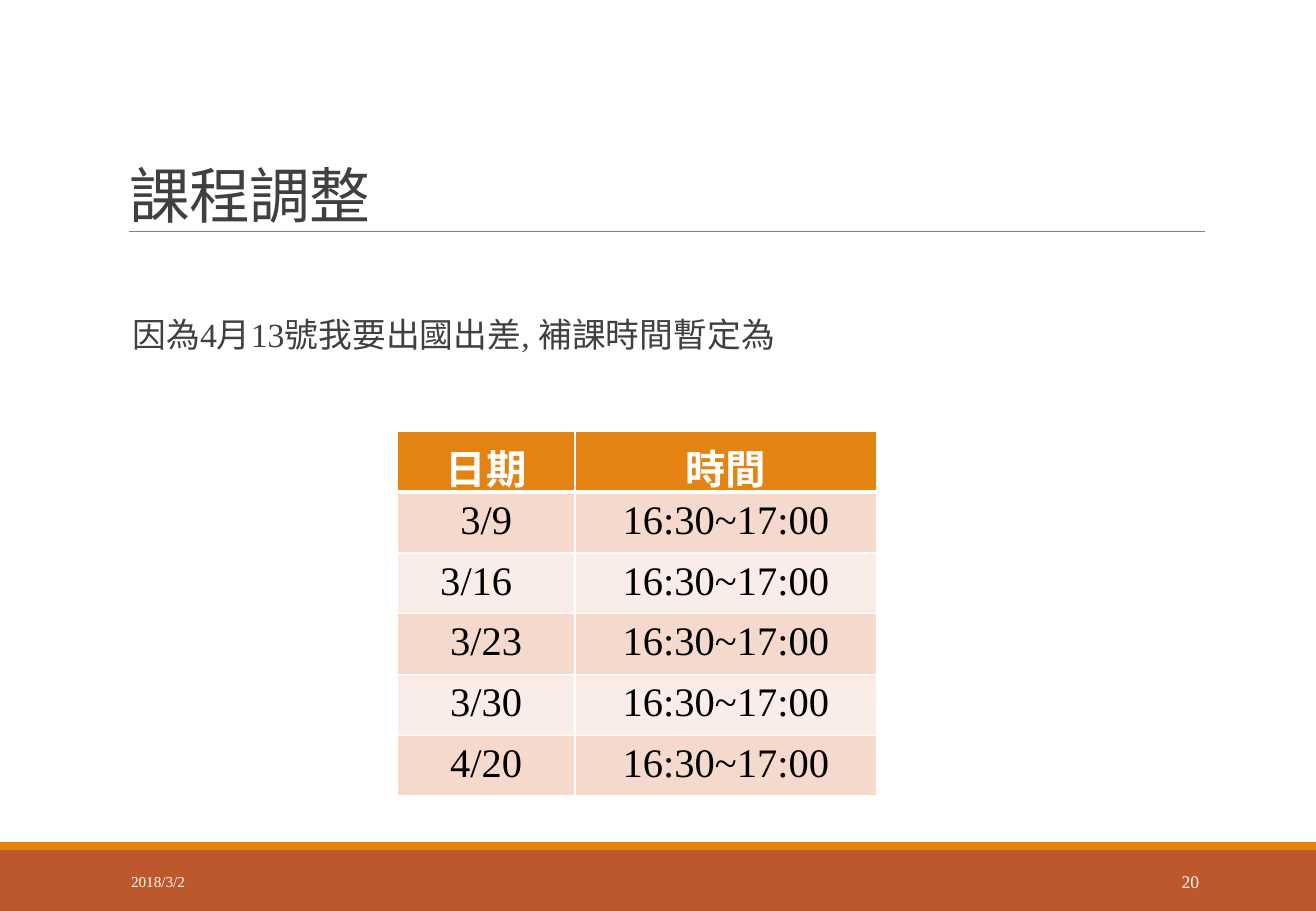
from lxml import etree
from pptx import Presentation
from pptx import util as u
from pptx.dml.color import RGBColor
from pptx.enum import shapes, text
from pptx.oxml import ns

COLORS = {
    "orange": "E48312", "rust": "BD582C", "rule": "808080", "ink": "404040",
    "white": "FFFFFF", "black": "000000", "odd": "F5D9CC", "even": "FAEDE7",
}
FONT = "Times New Roman"
DATES = ["3/9", "3/16", "3/23", "3/30", "4/20"]
MAKEUP_TIME = "16:30~17:00"
SLIDE_W, SLIDE_H = 27.51, 19.05


def rgb(name):
    return RGBColor.from_string(COLORS[name])


def cm_box(box):
    return [u.Cm(length) for length in box]


def add_run(paragraph, words, size, color, bold=False, spacing=None):
    run = paragraph.add_run()
    run.text = words
    run.font.name = FONT
    run.font.size = u.Pt(size)
    run.font.bold = bold
    run.font.color.rgb = rgb(color)
    properties = run.font._element
    properties.set("lang", "zh-TW")
    if spacing is not None:
        properties.set("spc", str(spacing))


def add_label(slide, box, words, size, color, anchor, align=text.PP_ALIGN.LEFT,
              line_spacing=1.0, spacing=None):
    frame = slide.shapes.add_textbox(*cm_box(box)).text_frame
    frame.word_wrap = True
    frame.vertical_anchor = anchor
    paragraph = frame.paragraphs[0]
    paragraph.alignment = align
    paragraph.line_spacing = line_spacing
    add_run(paragraph, words, size, color, spacing=spacing)
    return frame


def add_band(slide, box, color):
    band = slide.shapes.add_shape(shapes.MSO_SHAPE.RECTANGLE, *cm_box(box))
    band.shadow.inherit = False
    band.fill.solid()
    band.fill.fore_color.rgb = rgb(color)
    band.line.fill.background()


def add_footer(slide, box):
    left, top, width, height = box
    # Colour bands
    add_band(slide, box, "rust")
    add_band(slide, (left, top - 0.17, width, 0.17), "orange")
    # Page number and date
    middle = text.MSO_ANCHOR.MIDDLE
    add_label(slide, (left + 22.35, top + 0.15, 2.97, 1.02), "20", 10.5,
              "white", middle, text.PP_ALIGN.RIGHT)
    add_label(slide, (left + 2.49, top + 0.15, 5.59, 1.02), "2018/3/2", 9,
              "white", middle)


def add_header(slide, box):
    left, top, width, height = box
    # Rule under the title
    rule_y = u.Cm(top + height - 0.12)
    rule = slide.shapes.add_connector(
        shapes.MSO_CONNECTOR.STRAIGHT, u.Cm(left + 0.23), rule_y,
        u.Cm(left + width + 0.03), rule_y)
    rule.line.color.rgb = rgb("rule")
    rule.line.width = u.Pt(0.5)
    etree.SubElement(rule._element.spPr, ns.qn("a:effectLst"))
    # Title
    add_label(slide, box, "課程調整", 36, "ink", text.MSO_ANCHOR.BOTTOM,
              line_spacing=0.85, spacing=-50)


def add_notice(slide, box):
    frame = add_label(slide, box, "因為4月13號我要出國出差, 補課時間暫定為", 20,
                      "ink", text.MSO_ANCHOR.TOP, line_spacing=0.9)
    frame.margin_left = frame.margin_right = 0
    frame.margin_top = u.Cm(1.47)


def set_borders(cell, widths):
    properties = cell._tc.get_or_add_tcPr()
    for side, points in widths.items():
        border = etree.SubElement(properties, ns.qn(f"a:ln{side}"),
                                  w=str(u.Pt(points)))
        fill = etree.SubElement(border, ns.qn("a:solidFill"))
        etree.SubElement(fill, ns.qn("a:srgbClr"), val=COLORS["white"])


def add_schedule(slide, box):
    rows = [("日期", "時間")] + [(date, MAKEUP_TIME) for date in DATES]
    schedule = slide.shapes.add_table(len(rows), 2, *cm_box(box)).table
    for column, share in zip(schedule.columns, (0.37, 0.63)):
        column.width = u.Cm(box[2] * share)
    for r, row in enumerate(rows):
        is_header = r == 0
        fill = "orange" if is_header else ("odd" if r % 2 else "even")
        for c, words in enumerate(row):
            cell = schedule.cell(r, c)
            set_borders(cell, {"L": 1, "R": 1, "T": 3 if r == 1 else 1,
                               "B": 3 if is_header else 1})
            cell.fill.solid()
            cell.fill.fore_color.rgb = rgb(fill)
            paragraph = cell.text_frame.paragraphs[0]
            paragraph.alignment = text.PP_ALIGN.CENTER
            add_run(paragraph, words, 24, "white" if is_header else "black",
                    bold=is_header)
    # The second date sits slightly left of centre
    schedule.cell(2, 0).margin_right = u.Cm(0.67)


def main():
    deck = Presentation()
    deck.slide_width, deck.slide_height = u.Cm(SLIDE_W), u.Cm(SLIDE_H)
    slide = deck.slides.add_slide(deck.slide_layouts[6])
    add_footer(slide, (0, SLIDE_H - 1.27, SLIDE_W, 1.27))
    add_header(slide, (2.46, 0.91, 22.71, 4.04))
    add_notice(slide, (2.77, 5.18, 22.4, 11.99))
    add_schedule(slide, (8.31, 9.02, 10.02, 6.1))
    deck.save("out.pptx")


if __name__ == "__main__":
    main()
